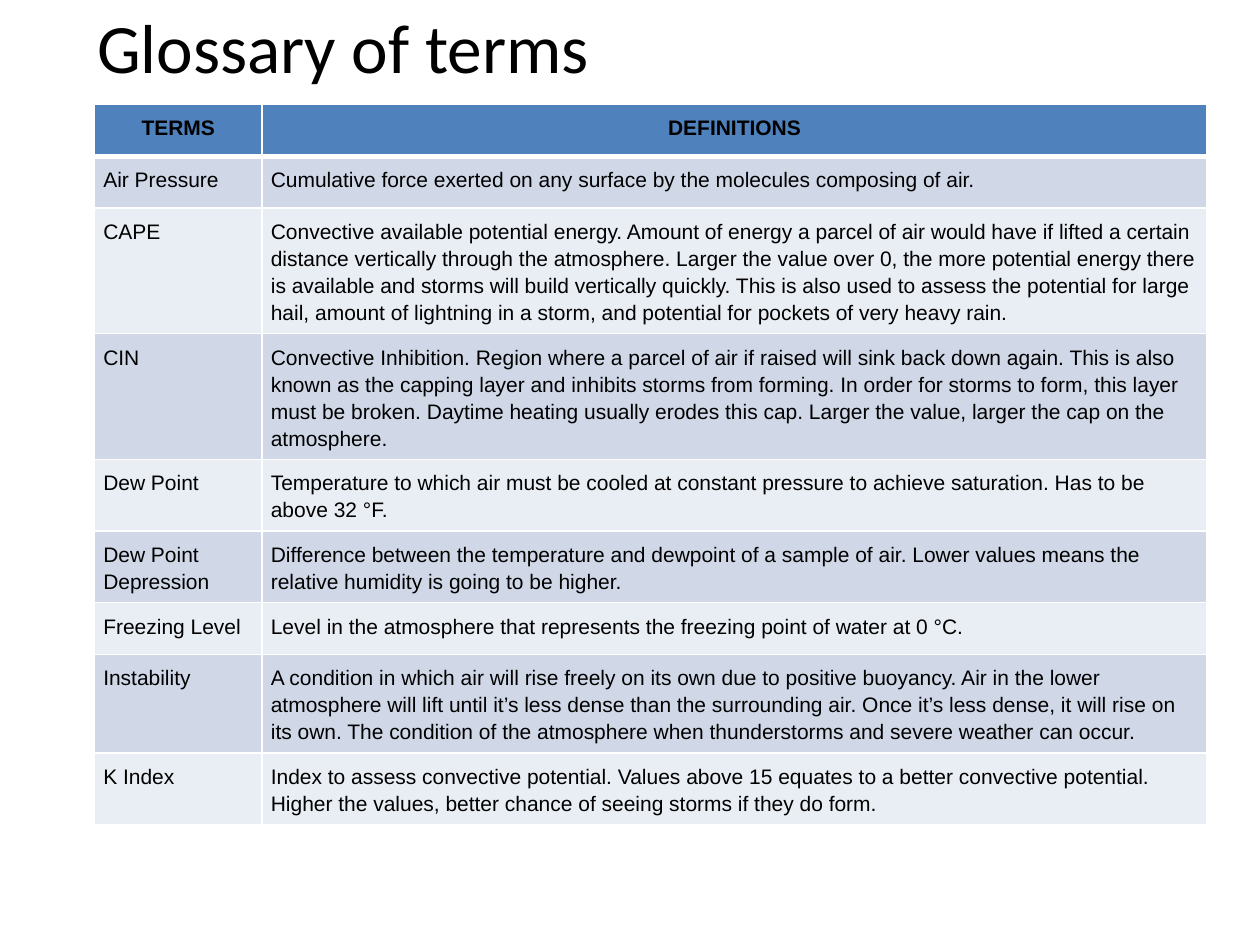
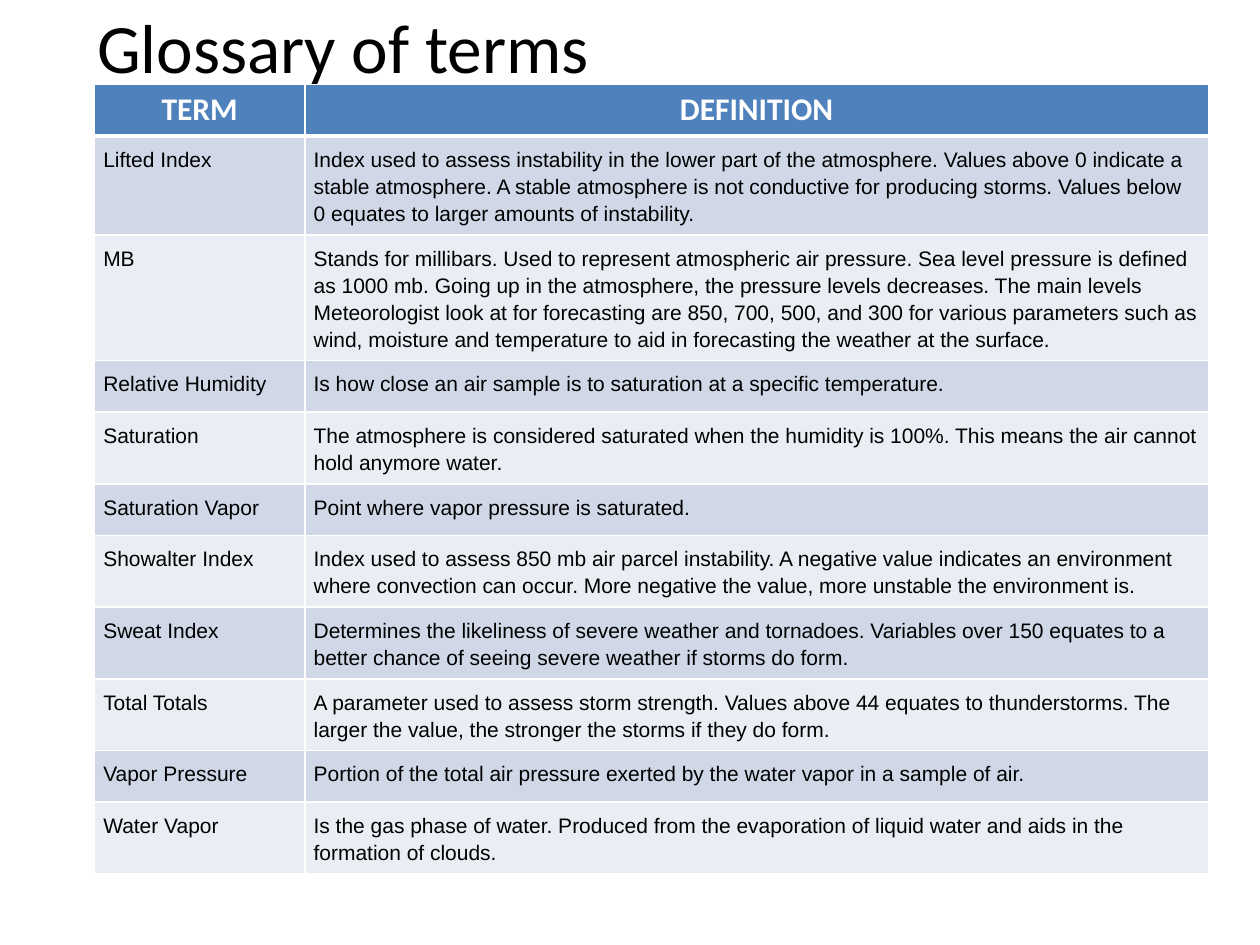
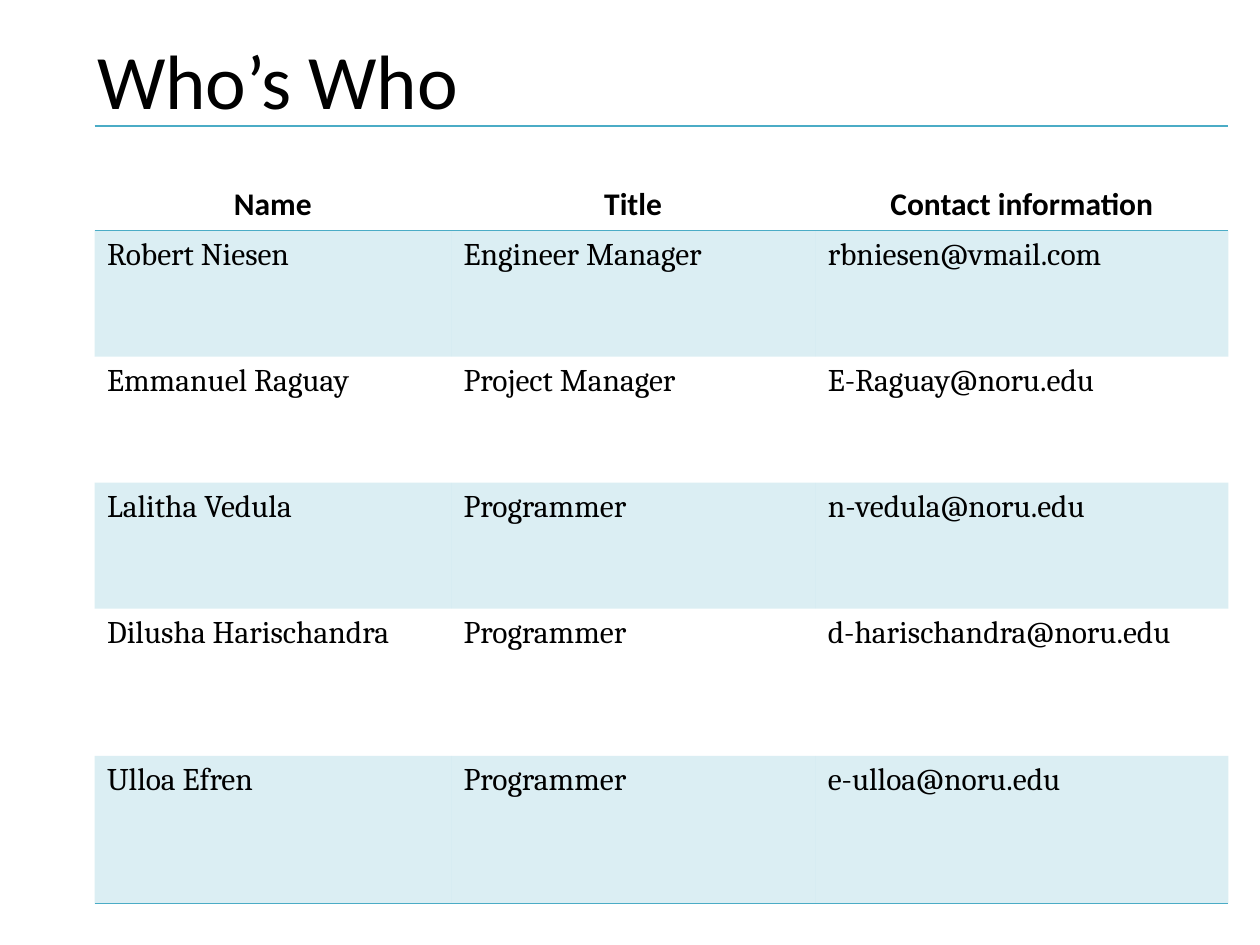
from lxml.etree import SubElement as Sub
from pptx import Presentation
from pptx.dml.color import RGBColor as Rgb
from pptx.enum.text import MSO_ANCHOR as Anchor, PP_ALIGN as Align
from pptx.oxml.ns import qn
from pptx.util import Inches, Pt

HUES = {
    "ink": "000000",
    "white": "FFFFFF",
    "head": "4F81BD",
    "dark": "D0D8E8",
    "light": "E9EDF4",
    "teal": "4BACC6",
}
PLAIN = "{2D5ABB26-0587-4C30-8999-92F81FD0307C}"  # table style without fills or lines
PAD = 0.07
LEFT = 0.75

TERMS = [
    ("TERMS", "DEFINITIONS"),
    ("Air Pressure",
     "Cumulative force exerted on any surface by the molecules composing of air."),
    ("CAPE",
     "Convective available potential energy. Amount of energy a parcel of air would have "
     "if lifted a certain distance vertically through the atmosphere. Larger the value "
     "over 0, the more potential energy there is available and storms will build "
     "vertically quickly. This is also used to assess the potential for large hail, "
     "amount of lightning in a storm, and potential for pockets of very heavy rain."),
    ("CIN",
     "Convective Inhibition. Region where a parcel of air if raised will sink back down "
     "again. This is also known as the capping layer and inhibits storms from forming. "
     "In order for storms to form, this layer must be broken. Daytime heating usually "
     "erodes this cap. Larger the value, larger the cap on the atmosphere."),
    ("Dew Point",
     "Temperature to which air must be cooled at constant pressure to achieve "
     "saturation. Has to be above 32 °F."),
    ("Dew Point Depression",
     "Difference between the temperature and dewpoint of a sample of air. Lower values "
     "means the relative humidity is going to be higher."),
    ("Freezing Level",
     "Level in the atmosphere that represents the freezing point of water at 0 °C."),
    ("Instability",
     "A condition in which air will rise freely on its own due to positive buoyancy. Air "
     "in the lower atmosphere will lift until it’s less dense than the surrounding air. "
     "Once it’s less dense, it will rise on its own. The condition of the atmosphere "
     "when thunderstorms and severe weather can occur."),
    ("K Index",
     "Index to assess convective potential. Values above 15 equates to a better "
     "convective potential. Higher the values, better chance of seeing storms if they "
     "do form."),
]
MORE = [
    ("TERM", "DEFINITION"),
    ("Lifted Index",
     "Index used to assess instability in the lower part of the atmosphere. Values above "
     "0 indicate a stable atmosphere. A stable atmosphere is not conductive for "
     "producing storms. Values below 0 equates to larger amounts of instability."),
    ("MB",
     "Stands for millibars. Used to represent atmospheric air pressure. Sea level "
     "pressure is defined as 1000 mb. Going up in the atmosphere, the pressure levels "
     "decreases. The main levels Meteorologist look at for forecasting are 850, 700, "
     "500, and 300 for various parameters such as wind, moisture and temperature to aid "
     "in forecasting the weather at the surface."),
    ("Relative Humidity",
     "Is how close an air sample is to saturation at a specific temperature."),
    ("Saturation",
     "The atmosphere is considered saturated when the humidity is 100%. This means the "
     "air cannot hold anymore water."),
    ("Saturation Vapor", "Point where vapor pressure is saturated."),
    ("Showalter Index",
     "Index used to assess 850 mb air parcel instability. A negative value indicates an "
     "environment where convection can occur. More negative the value, more unstable "
     "the environment is."),
    ("Sweat Index",
     "Determines the likeliness of severe weather and tornadoes. Variables over 150 "
     "equates to a better chance of seeing severe weather if storms do form."),
    ("Total Totals",
     "A parameter used to assess storm strength. Values above 44 equates to "
     "thunderstorms. The larger the value, the stronger the storms if they do form."),
    ("Vapor Pressure",
     "Portion of the total air pressure exerted by the water vapor in a sample of air."),
    ("Water Vapor",
     "Is the gas phase of water. Produced from the evaporation of liquid water and aids "
     "in the formation of clouds."),
]
TEAM = [
    ("Name", "Title", "Contact information"),
    ("Robert Niesen", "Engineer Manager", "rbniesen@vmail.com"),
    ("Emmanuel Raguay", "Project Manager", "E-Raguay@noru.edu"),
    ("Lalitha Vedula", "Programmer", "n-vedula@noru.edu"),
    ("Dilusha Harischandra", "Programmer", "d-harischandra@noru.edu"),
    ("Ulloa Efren", "Programmer", "e-ulloa@noru.edu"),
]


def tint(name):
    return Rgb.from_string(HUES[name])


def write(para, text, size, font, hue="ink", bold=False):
    run = para.add_run()
    run.text = text
    face = run.font
    face.size, face.name, face.bold = Pt(size), font, bold
    face.color.rgb = tint(hue)


def edge(cell, hue, **sides):
    """Draw cell borders; sides maps L, R, T and B to widths in points."""
    props = cell._tc.get_or_add_tcPr()
    for side in "LRTB":
        if side in sides:
            line = Sub(props, qn(f"a:ln{side}"), w=str(Pt(sides[side])))
            Sub(Sub(line, qn("a:solidFill")), qn("a:srgbClr"), val=HUES[hue])


def fill(cell, hue, alpha=None):
    cell.fill.solid()
    cell.fill.fore_color.rgb = tint(hue)
    if alpha:
        color = cell._tc.tcPr.find(".//" + qn("a:solidFill") + "[last()]")
        color = cell._tc.tcPr.findall(qn("a:solidFill"))[0][0]
        Sub(color, qn("a:alpha"), val=str(alpha * 1000))


def pad(cell):
    cell.margin_left = cell.margin_right = Inches(PAD)
    cell.margin_top = cell.margin_bottom = Inches(PAD)


def start(deck, text, box, size):
    """Add a slide and set its title."""
    slide = deck.slides.add_slide(deck.slide_layouts[5])
    title = slide.shapes.title
    title.left, title.top, title.width, title.height = map(Inches, box)
    frame = title.text_frame
    frame.vertical_anchor = Anchor.MIDDLE
    para = frame.paragraphs[0]
    para.alignment = Align.LEFT
    write(para, text, size, "Calibri")
    return slide


def grid(slide, left, top, cols, highs):
    """Add an unstyled table with the given column widths and row heights."""
    shape = slide.shapes.add_table(len(highs), len(cols), Inches(left), Inches(top),
                                   Inches(sum(cols)), Inches(sum(highs)))
    table = shape.table
    table._tbl.tblPr.find(qn("a:tableStyleId")).text = PLAIN
    table.horz_banding = False
    for col, wide in zip(table.columns, cols):
        col.width = Inches(wide)
    for row, high in zip(table.rows, highs):
        row.height = Inches(high)
    return table


def terms(deck, rows, top, cols, caps):
    """Glossary slide; caps holds size, font and colour of the header row."""
    slide = start(deck, "Glossary of terms", (0.67, 0.03, 8.83, 0.67), 39.6)
    table = grid(slide, LEFT, top, cols, [0.41] * len(rows))
    for r, row in enumerate(rows):
        for c, text in enumerate(row):
            cell = table.cell(r, c)
            para = cell.text_frame.paragraphs[0]
            edge(cell, "white", L=1, R=1, T=3 if r == 1 else 1, B=1 if r else 3)
            if r:
                fill(cell, "dark" if r % 2 else "light")
                write(para, text, 12, "Arial")
            else:
                fill(cell, "head")
                para.alignment = Align.CENTER
                write(para, text, *caps, bold=True)
            # Arial cells share the tight inset and the looser lines
            if r or caps[1] == "Arial":
                pad(cell)
                para.line_spacing = 1.15


def people(deck):
    """Contact list with ruled header and tinted odd rows."""
    slide = start(deck, "Who’s Who", (0.67, 0, 8.83, 1.25), 44)
    highs = [0.83, 1, 1, 1, 1.17, 1.17]
    table = grid(slide, LEFT, 1, [2.83, 2.89, 3.28], highs)
    for r, row in enumerate(TEAM):
        for c, text in enumerate(row):
            cell = table.cell(r, c)
            para = cell.text_frame.paragraphs[0]
            if r == 0:
                edge(cell, "teal", T=1, B=1)
                cell.vertical_anchor = Anchor.BOTTOM
                para.alignment = Align.CENTER
            elif r == len(TEAM) - 1:
                edge(cell, "teal", B=1)
            if r % 2:
                fill(cell, "teal", 20)
            write(para, text, 18, "Cambria" if r else "Calibri", bold=r == 0)


def main():
    deck = Presentation()
    deck.slide_width, deck.slide_height = Inches(10), Inches(7.5)
    terms(deck, TERMS, 0.83, [1.33, 7.5], (12, "Arial", "ink"))
    terms(deck, MORE, 0.67, [1.67, 7.17], (18, "Calibri", "white"))
    people(deck)
    deck.save("out.pptx")


if __name__ == "__main__":
    main()
